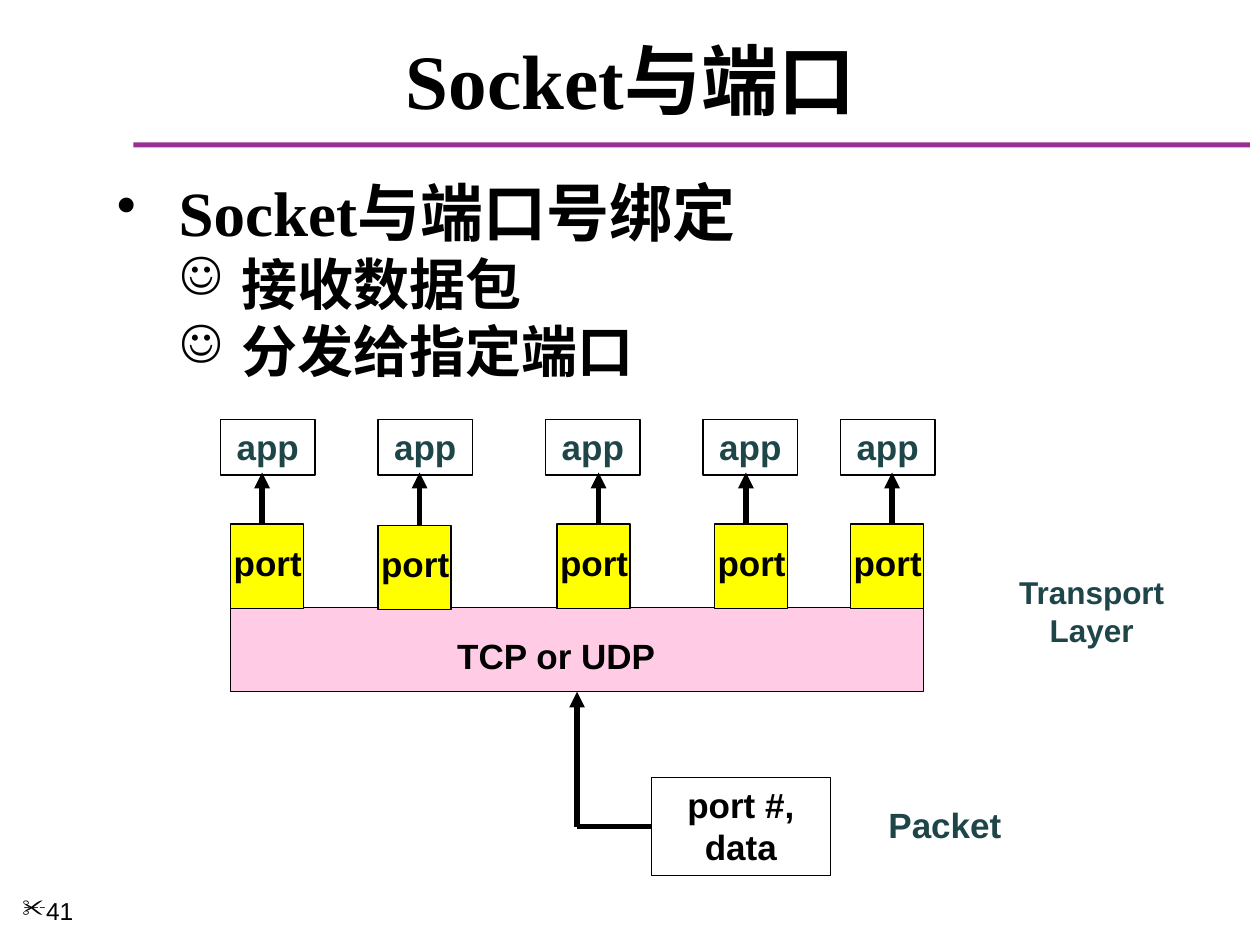
from lxml import etree
from pptx import Presentation
from pptx.dml.color import RGBColor
from pptx.enum.shapes import MSO_CONNECTOR, MSO_SHAPE
from pptx.enum.text import MSO_ANCHOR, PP_ALIGN
from pptx.oxml.ns import qn
from pptx.util import Inches, Pt

RECT = MSO_SHAPE.RECTANGLE
LINE = MSO_CONNECTOR.STRAIGHT
TOP, MIDDLE = MSO_ANCHOR.TOP, MSO_ANCHOR.MIDDLE
LEFT, CENTER = PP_ALIGN.LEFT, PP_ALIGN.CENTER
COLORS = {"ink": "000000", "teal": "1E4649", "rule": "973095",
          "pink": "FF99CC", "port": "FFFF00"}
SANS, SERIF = "Arial", "Times New Roman"


def rgb(name):
    return RGBColor.from_string(COLORS[name])


def add_run(para, text, size, color="ink", font=SANS, bold=True):
    run = para.add_run()
    run.text = text
    run.font.size = Pt(size)
    run.font.name = font
    run.font.bold = bold
    run.font.color.rgb = rgb(color)


def add_bullet(para, char, size=100, left=0, hang=0):
    props = para._p.get_or_add_pPr()
    props.set("marL", str(Inches(left)))
    props.set("indent", str(Inches(-hang)))
    etree.SubElement(props, qn("a:buSzPct"), val=str(size * 1000))
    etree.SubElement(props, qn("a:buChar"), char=char)


def set_frame(shape, anchor=TOP, align=CENTER):
    frame = shape.text_frame
    frame.word_wrap = True
    frame.vertical_anchor = anchor
    para = frame.paragraphs[0]
    para.alignment = align
    return para


def add_label(slide, box, text, size=20, color="ink", font=SANS,
              bold=True, anchor=TOP, align=CENTER):
    shape = slide.shapes.add_textbox(*map(Inches, box))
    para = set_frame(shape, anchor, align)
    add_run(para, text, size, color, font, bold)
    return para


def add_box(slide, box, fill=None, edge=True, alpha=None, text="", color="ink"):
    shape = slide.shapes.add_shape(RECT, *map(Inches, box))
    shape.shadow.inherit = False
    if fill:
        shape.fill.solid()
        shape.fill.fore_color.rgb = rgb(fill)
        if alpha:
            tone = shape._element.spPr.find(".//" + qn("a:srgbClr"))
            etree.SubElement(tone, qn("a:alpha"), val=str(alpha * 1000))
    else:
        shape.fill.background()
    if edge:
        shape.line.color.rgb = rgb("ink")
        shape.line.width = Pt(0.75)
    else:
        shape.line.fill.background()
    if text:
        add_run(set_frame(shape), text, 20, color)
    return shape


def add_line(slide, start, end, arrow=True):
    line = slide.shapes.add_connector(LINE, *map(Inches, start + end))
    line.line.color.rgb = rgb("ink")
    line.line.width = Pt(3)
    if arrow:
        etree.SubElement(line.line._get_or_add_ln(), qn("a:tailEnd"),
                         type="triangle")
    etree.SubElement(line._element.spPr, qn("a:effectLst"))
    return line


def add_body(slide):
    shape = slide.shapes.add_textbox(*map(Inches, (0.83, 1.33, 8.5, 4.75)))
    para = set_frame(shape, align=LEFT)
    para.space_before = Pt(18)
    add_run(para, "Socket与端口号绑定", 36, font=SERIF)
    add_bullet(para, "•", 90, 0.49, 0.49)
    for text in ("接收数据包", "分发给指定端口"):
        para = shape.text_frame.add_paragraph()
        para.level = 1
        add_run(para, text, 32, font=SERIF)
        add_bullet(para, "☺", 90, 0.99, 0.49)


def add_stack(slide):
    # Transport bar
    bar = add_box(slide, (1.83, 4.82, 5.5, 0.67), "pink", alpha=50)
    add_label(slide, (2.75, 4.99, 3.33, 0.43), "TCP or UDP")

    # Each column: port left and top, app left, arrow x
    columns = ((1.83, 4.16, 1.75, 2.08), (3, 4.17, 3, 3.33),
               (4.42, 4.16, 4.33, 4.75), (5.67, 4.16, 5.58, 5.92),
               (6.75, 4.16, 6.67, 7.08))
    for port, top, app, mid in columns:
        add_box(slide, (port, top, 0.58, 0.67), "port")
        add_label(slide, (port - 0.08, top + 0.09, 0.75, 0.43), "port")
        add_box(slide, (app, 3.33, 0.75, 0.44), text="app", color="teal")
        add_line(slide, (mid, 4.17), (mid, 3.75))
    return bar


def add_packet(slide, bar):
    box = add_box(slide, (5.17, 6.17, 1.42, 0.78), text="port #, data")
    corner = (4.58, 6.56)
    add_line(slide, corner, (4.58, 5.49)).end_connect(bar, 2)
    add_line(slide, corner, (5.17, 6.56), arrow=False).end_connect(box, 1)


def main():
    deck = Presentation()
    deck.slide_width, deck.slide_height = Inches(10), Inches(7.5)
    slide = deck.slides.add_slide(deck.slide_layouts[6])

    # Title, rule and page number
    add_box(slide, (1.06, 1.13, 8.86, 0.04), "rule", edge=False)
    add_label(slide, (0.17, 0.25, 9.67, 0.75), "Socket与端口", 44,
              font=SERIF, anchor=MIDDLE)
    page = add_label(slide, (0.08, 7.06, 1.08, 0.44), "41", 14,
                     bold=False, align=LEFT)
    add_bullet(page, "✂")

    # Bullets and diagram
    add_body(slide)
    bar = add_stack(slide)
    add_packet(slide, bar)

    # Side labels
    add_label(slide, (6.75, 6.33, 1.5, 0.43), "Packet", color="teal")
    add_label(slide, (7.75, 4.5, 1.83, 0.71), "Transport Layer", 18, "teal")

    deck.save("out.pptx")


if __name__ == "__main__":
    main()
